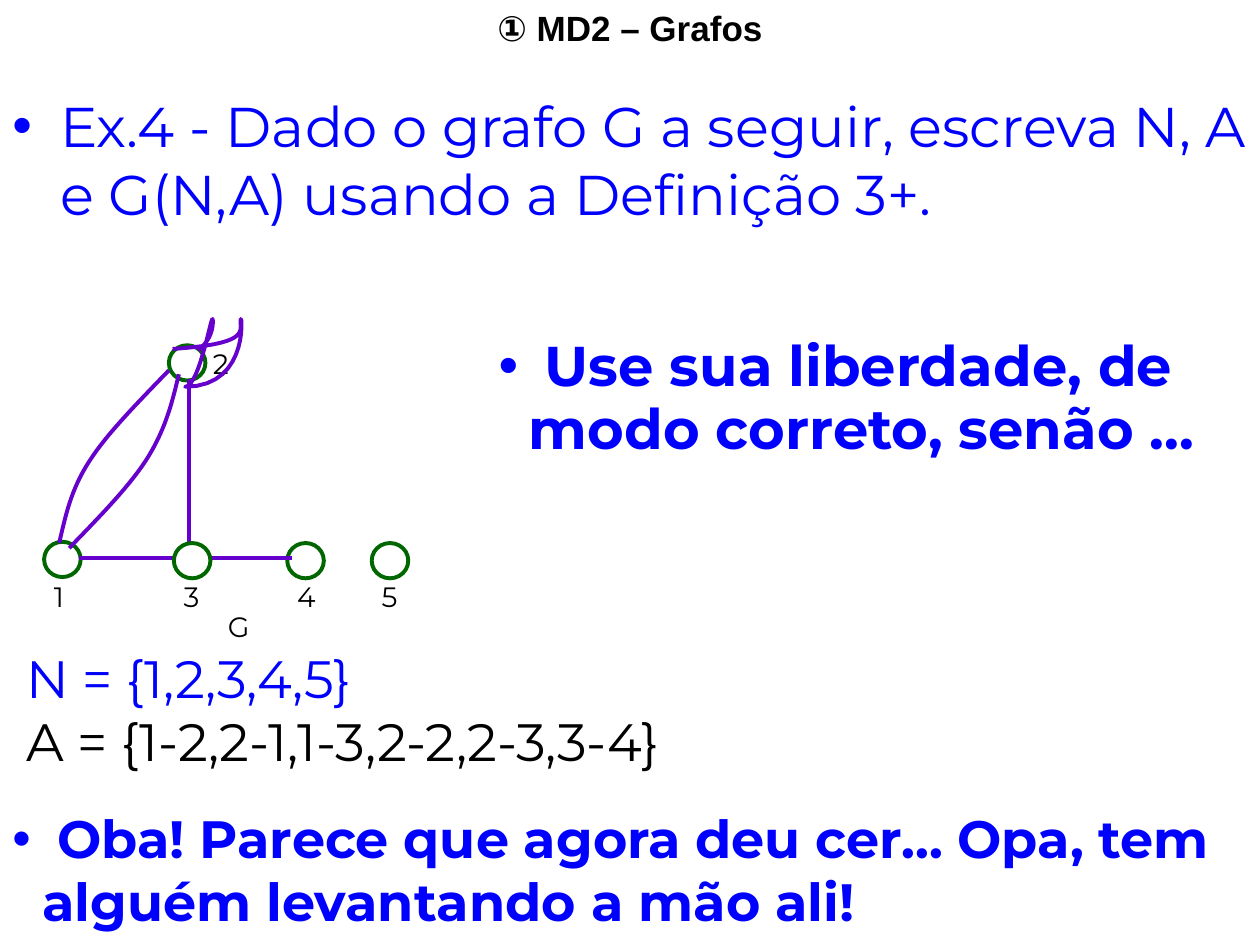
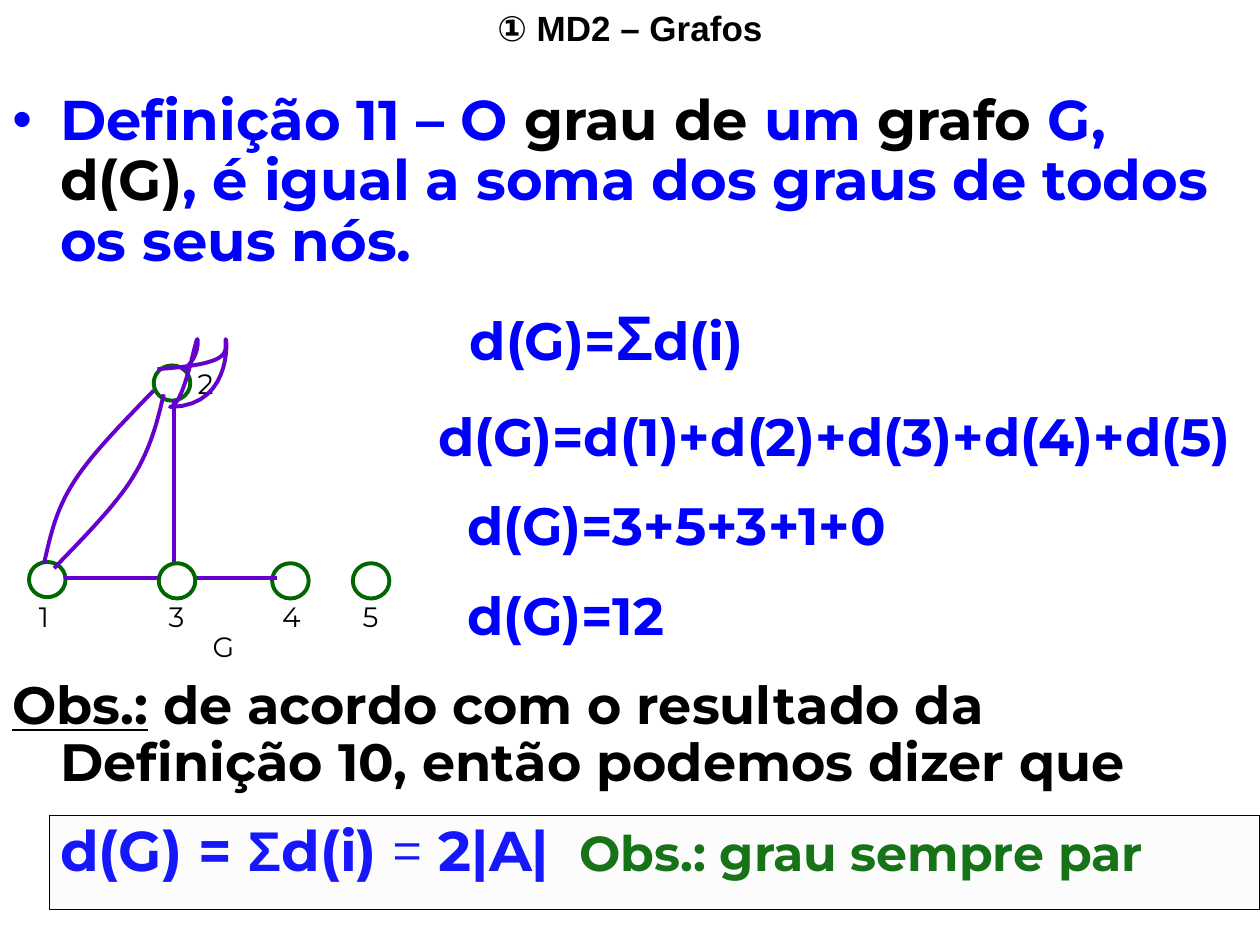
from dataclasses import dataclass

from lxml import etree
from pptx import Presentation
from pptx.dml.color import RGBColor
from pptx.enum.shapes import MSO_CONNECTOR as Connector, MSO_SHAPE as Shape
from pptx.enum.text import PP_ALIGN as Align
from pptx.oxml.ns import qn
from pptx.util import Inches, Pt

BLUE, BLACK, WHITE = "0000FF", "000000", "FFFFFF"
GREEN, PURPLE, GRAY = "006600", "6600CC", "EAEAEA"
BODY_FONT, SYMBOL_FONT = "Montserrat", "Arial"
GRAPH_LINE = 2.25
HANGING = 0.38
CURVE_STEPS = 16

Point = tuple[float, float]


@dataclass
class Span:
    text: str
    size: float | None = None
    color: str | None = None
    font: str | None = None
    bold: bool | None = None
    underline: bool | None = None


@dataclass
class Para:
    spans: list[Span]
    size: float = 30
    color: str = BLUE
    font: str = BODY_FONT
    bold: bool = False
    align: Align = Align.LEFT
    before: float = 0
    line: float = 1.0
    margin: float = 0
    indent: float = 0
    bullet: bool = False
    tab: float | None = None


@dataclass
class Node:
    label: str
    x: float
    y: float
    label_x: float
    label_y: float


@dataclass
class Edge:
    start: Point
    end: Point


@dataclass
class Curve:
    """A start point followed by cubic segments (control, control, end)."""
    start: Point
    segments: list[tuple[Point, Point, Point]]


NODE_1 = Node("1", 0.35, 4.3, 0.33, 4.55)
NODE_2 = Node("2", 1.34, 2.74, 1.59, 2.7)
NODE_3 = Node("3", 1.38, 4.31, 1.36, 4.55)
NODE_4 = Node("4", 2.28, 4.31, 2.26, 4.55)
EDGES = [
    Edge((0.63, 4.43), (1.38, 4.43)),
    Edge((1.5, 3.01), (1.5, 4.35)),
    Edge((2.32, 4.43), (1.65, 4.43)),
]
LOOP = Curve((1.37, 2.77), [
    ((1.96, 2.73), (1.91, 2.64), (1.91, 2.55)),
    ((1.91, 2.41), (2.01, 3.07), (1.47, 3.07)),
    ((1.59, 3.07), (1.69, 2.41), (1.69, 2.55)),
    ((1.69, 2.65), (1.64, 2.73), (1.57, 2.78)),
])
OUTER_ARC = Curve((0.47, 4.31), [
    ((0.52, 4.1), (0.56, 3.89), (0.71, 3.66)),
    ((0.85, 3.44), (1.1, 3.19), (1.34, 2.94)),
])
INNER_ARC = Curve((1.42, 2.97), [
    ((1.37, 3.18), (1.32, 3.39), (1.18, 3.62)),
    ((1.04, 3.85), (0.79, 4.1), (0.55, 4.35)),
])


def rgb(color: str) -> RGBColor:
    return RGBColor.from_string(color)


def set_outline(shape, color: str, width: float) -> None:
    shape.line.color.rgb = rgb(color)
    shape.line.width = Pt(width)


def add_bullet(properties, color: str) -> None:
    bullet_color = etree.SubElement(properties, qn("a:buClr"))
    etree.SubElement(bullet_color, qn("a:srgbClr"), val=color)
    etree.SubElement(properties, qn("a:buFont"), typeface=SYMBOL_FONT)
    etree.SubElement(properties, qn("a:buChar"), char="•")


def write_paragraph(paragraph, para: Para) -> None:
    paragraph.alignment = para.align
    paragraph.line_spacing = para.line
    paragraph.space_before = Pt(para.before)
    properties = paragraph._p.get_or_add_pPr()
    properties.set("marL", str(Inches(para.margin)))
    properties.set("indent", str(Inches(para.indent)))
    if para.bullet:
        add_bullet(properties, para.color)
    if para.tab is not None:
        tabs = etree.SubElement(properties, qn("a:tabLst"))
        etree.SubElement(tabs, qn("a:tab"), pos=str(Inches(para.tab)), algn="l")
    paragraph.font.size = Pt(para.size)
    paragraph.font.name = para.font
    paragraph.font.bold = para.bold
    paragraph.font.color.rgb = rgb(para.color)
    for span in para.spans:
        run = paragraph.add_run()
        run.text = span.text
        if span.size:
            run.font.size = Pt(span.size)
        if span.color:
            run.font.color.rgb = rgb(span.color)
        if span.font:
            run.font.name = span.font
        if span.bold is not None:
            run.font.bold = span.bold
        if span.underline:
            run.font.underline = True


def add_text(slide, left: float, top: float, width: float, height: float,
             paras: list[Para], wrap: bool = True) -> None:
    box = slide.shapes.add_textbox(*map(Inches, (left, top, width, height)))
    frame = box.text_frame
    frame.word_wrap = wrap
    for index, para in enumerate(paras):
        paragraph = frame.add_paragraph() if index else frame.paragraphs[0]
        write_paragraph(paragraph, para)


def add_label(slide, text: str, left: float, top: float, width: float) -> None:
    label = Para([Span(text)], size=16, color=BLACK)
    add_text(slide, left, top, width, 0.37, [label], wrap=False)


def add_node(slide, node: Node, dx: float, dy: float) -> None:
    circle = slide.shapes.add_shape(
        Shape.FLOWCHART_CONNECTOR, Inches(node.x + dx), Inches(node.y + dy),
        Inches(0.29), Inches(0.28))
    circle.shadow.inherit = False
    circle.fill.solid()
    circle.fill.fore_color.rgb = rgb(WHITE)
    set_outline(circle, GREEN, GRAPH_LINE)
    add_label(slide, node.label, node.label_x + dx, node.label_y + dy, 0.32)


def add_edge(slide, edge: Edge, dx: float, dy: float) -> None:
    (x1, y1), (x2, y2) = edge.start, edge.end
    line = slide.shapes.add_connector(
        Connector.STRAIGHT, Inches(x1 + dx), Inches(y1 + dy),
        Inches(x2 + dx), Inches(y2 + dy))
    set_outline(line, PURPLE, GRAPH_LINE)
    etree.SubElement(line._element.spPr, qn("a:effectLst"))


def curve_points(curve: Curve) -> list[Point]:
    """Sample the cubic segments at equal parameter steps."""
    points = [curve.start]
    for segment in curve.segments:
        corners = (points[-1], *segment)
        for step in range(1, CURVE_STEPS + 1):
            t = step / CURVE_STEPS
            weights = ((1 - t) ** 3, 3 * t * (1 - t) ** 2, 3 * t * t * (1 - t), t ** 3)
            points.append((sum(w * c[0] for w, c in zip(weights, corners)),
                           sum(w * c[1] for w, c in zip(weights, corners))))
    return points


def add_curve(slide, curve: Curve, dx: float, dy: float) -> None:
    first, *rest = [(Inches(x + dx), Inches(y + dy)) for x, y in curve_points(curve)]
    builder = slide.shapes.build_freeform(*first)
    builder.add_line_segments(rest, close=False)
    arc = builder.convert_to_shape()
    arc.shadow.inherit = False
    arc.fill.background()
    set_outline(arc, PURPLE, GRAPH_LINE)


def add_graph(slide, dx: float = 0, dy: float = 0, node_5_x: float = 2.95) -> None:
    node_5 = Node("5", node_5_x, 4.31, node_5_x - 0.02, 4.55)
    for node in (NODE_1, NODE_4, node_5, NODE_2):
        add_node(slide, node, dx, dy)
    for edge in EDGES:
        add_edge(slide, edge, dx, dy)
    add_node(slide, NODE_3, dx, dy)
    add_label(slide, "G", 1.71 + dx, 4.79 + dy, 0.36)
    for curve in (LOOP, OUTER_ARC, INNER_ARC):
        add_curve(slide, curve, dx, dy)


def add_titled_slide(deck):
    slide = deck.slides.add_slide(deck.slide_layouts[6])
    add_text(slide, 0, 0, 10, 0.44, [
        Para([Span("① MD2 – Grafos")], size=20, color=BLACK, font=SYMBOL_FONT,
             bold=True, align=Align.CENTER)])
    return slide


def build_exercise(deck) -> None:
    slide = add_titled_slide(deck)
    add_text(slide, 0, 0.68, 10, 1.17, [
        Para([Span("Ex.4 - Dado o grafo G a seguir, escreva N, A e G(N,A) "
                   "usando a Definição 3+.")],
             size=32, margin=HANGING, indent=-HANGING, bullet=True)])
    add_text(slide, 0, 5.08, 10, 2.37, [
        Para([Span("N = {1,2,3,4,5}")], margin=0.11),
        Para([Span("A = {1-2,2-1,1-3,2-2,2-3,3-4}")], color=BLACK, margin=0.11),
        Para([Span(" Oba! Parece que agora deu cer... Opa, tem alguém "
                   "levantando a mão ali!")],
             bold=True, before=19.5, margin=0.24, indent=-0.24, bullet=True)])
    add_text(slide, 3.86, 2.61, 6.1, 1.12, [
        Para([Span(" Use sua liberdade, de modo correto, senão ...")],
             size=32, bold=True, line=0.95, margin=0.24, indent=-0.24, bullet=True)])
    add_graph(slide)


def formula(spans: list[Span], margin: float, before: float = 18.7) -> Para:
    return Para(spans, bold=True, before=before, line=0.9, margin=margin)


def build_definition(deck) -> None:
    slide = add_titled_slide(deck)
    add_text(slide, 0, 0.68, 10, 6.39, [
        Para([Span("Definição 11 – O "), Span("grau de", color=BLACK), Span(" um "),
              Span("grafo", color=BLACK), Span(" G, "), Span("d(G)", color=BLACK),
              Span(", é igual a soma dos graus de todos os seus nós.")],
             size=32, bold=True, line=0.9, margin=HANGING, indent=-HANGING, bullet=True),
        formula([Span("d(G)="), Span("Σ", size=36, font=SYMBOL_FONT), Span("d(i)")], 3.63),
        formula([Span("d(G)=d(1)+d(2)+d(3)+d(4)+d(5)")], 3.38, before=21),
        formula([Span("d(G)=3+5+3+1+0")], 3.61),
        formula([Span("d(G)=12")], 3.61),
        Para([Span("Obs.:", underline=True),
              Span(" de acordo com o resultado da Definição 10, então podemos dizer que")],
             color=BLACK, bold=True, before=18.7, line=0.9,
             margin=HANGING, indent=-HANGING),
        Para([Span("d(G) = "), Span("Σ", font=SYMBOL_FONT), Span("d(i)"),
              Span(" = ", bold=False), Span("2|A|\t"),
              Span("Obs.: grau sempre par", size=28, color=GREEN)],
             size=32, bold=True, before=17.5, line=0.9, indent=HANGING, tab=4.62)])
    add_graph(slide, dx=-0.12, dy=0.16, node_5_x=2.92)

    result_frame = slide.shapes.add_shape(
        Shape.RECTANGLE, Inches(0.39), Inches(6.47), Inches(9.61), Inches(0.75))
    result_frame.shadow.inherit = False
    result_frame.fill.solid()
    result_frame.fill.fore_color.rgb = rgb(GRAY)
    tint = result_frame._element.spPr.find(qn("a:solidFill"))[0]
    etree.SubElement(tint, qn("a:alpha"), val="10000")
    set_outline(result_frame, BLACK, 0.75)


def main() -> None:
    deck = Presentation()
    deck.slide_width, deck.slide_height = Inches(10), Inches(7.5)
    build_exercise(deck)
    build_definition(deck)
    deck.save("out.pptx")


if __name__ == "__main__":
    main()
